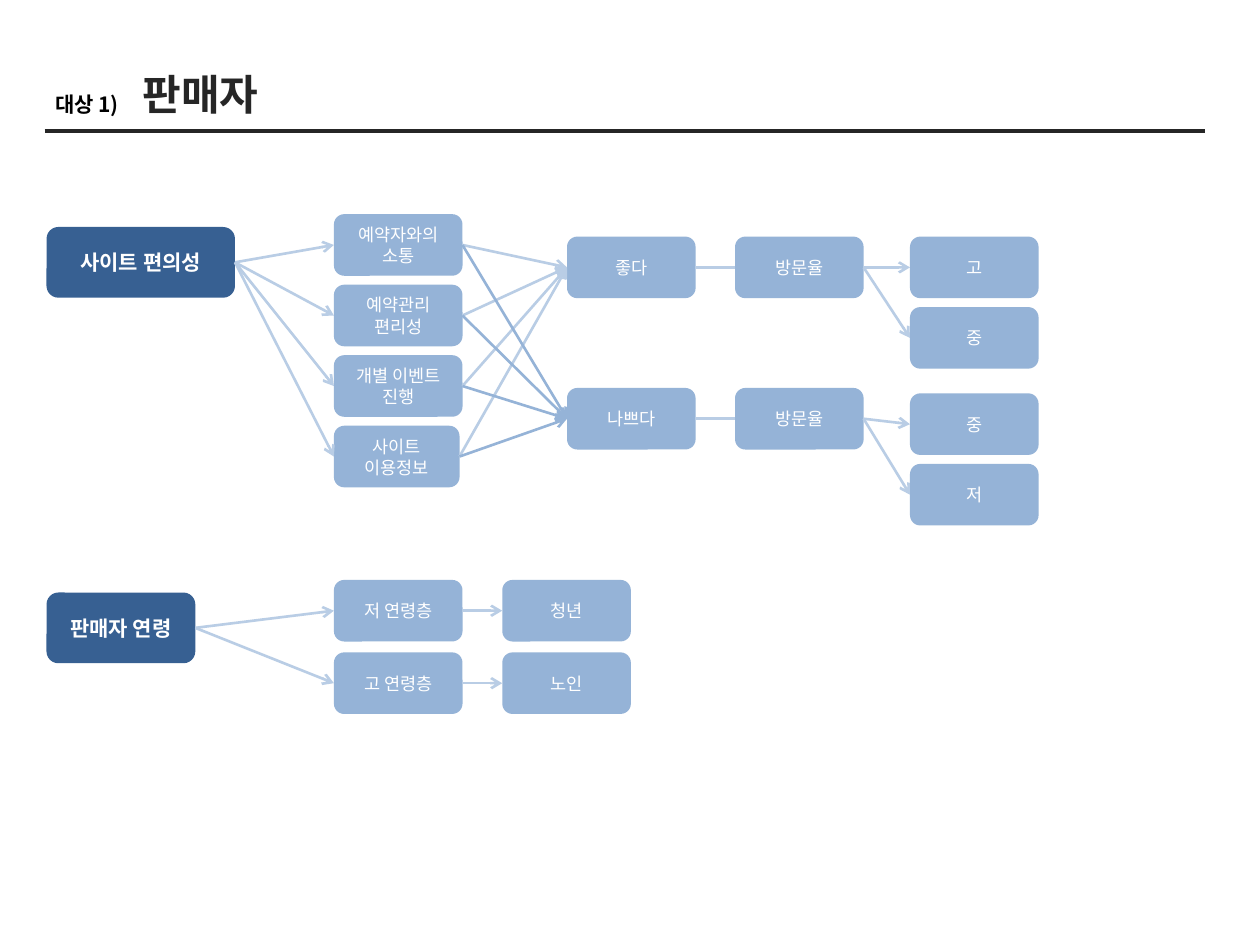
from lxml.etree import SubElement
from pptx import Presentation
from pptx.dml.color import RGBColor
from pptx.enum.shapes import MSO_CONNECTOR, MSO_SHAPE
from pptx.enum.text import MSO_ANCHOR, MSO_AUTO_SIZE, PP_ALIGN
from pptx.oxml.ns import qn
from pptx.util import Pt

NAVY, BLUE, PALE = "376092", "95B3D7", "B9CDE5"
DARK, WHITE, BLACK = "262626", "FFFFFF", "000000"
KOREAN = "Noto Sans CJK KR"
WIDE, HIGH = 73.5, 35.2  # node size
ROOT = 40.4  # height of a root node
COLS = [190.8, 324, 420, 520]  # left edges of the node columns


def color(code):
    return RGBColor.from_string(code)


def style(frame, size, code, bold=False, name=KOREAN):
    for para in frame.paragraphs:
        for run in para.runs:
            font = run.font
            font.size, font.bold, font.name = Pt(size), bold, name
            font.color.rgb = color(code)
            if name == KOREAN:
                SubElement(run._r.get_or_add_rPr(), qn("a:ea"), typeface=name)


def label(frame, text, size, code, name):
    frame.text = text
    frame.word_wrap = False
    frame.auto_size = MSO_AUTO_SIZE.SHAPE_TO_FIT_TEXT
    frame.vertical_anchor = MSO_ANCHOR.TOP
    frame.paragraphs[0].alignment = PP_ALIGN.LEFT
    style(frame, size, code, True, name)


def node(slide, text, left, top, wide=WIDE, high=HIGH, fill=BLUE, size=10, bold=False):
    box = slide.shapes.add_shape(
        MSO_SHAPE.ROUNDED_RECTANGLE, Pt(left), Pt(top), Pt(wide), Pt(high))
    box.shadow.inherit = False
    box.fill.solid()
    box.fill.fore_color.rgb = color(fill)
    box.line.fill.background()
    frame = box.text_frame
    frame.text = text
    frame.word_wrap = True
    frame.vertical_anchor = MSO_ANCHOR.MIDDLE
    for para in frame.paragraphs:
        para.alignment = PP_ALIGN.CENTER
    style(frame, size, WHITE, bold)
    return box


def root(slide, text, top, wide):
    return node(slide, text, 26.6, top, wide, ROOT, NAVY, 12, True)


def line(slide, x1, y1, x2, y2, code, width):
    rule = slide.shapes.add_connector(
        MSO_CONNECTOR.STRAIGHT, Pt(x1), Pt(y1), Pt(x2), Pt(y2))
    rule.line.color.rgb = color(code)
    rule.line.width = Pt(width)
    SubElement(rule._element.spPr, qn("a:effectLst"))
    return rule


def link(slide, start, end, code=PALE, arrow=True):
    # From the right side of one node to the left side of another
    rule = line(slide, 0, 0, 0, 0, code, 1.5)
    rule.begin_connect(start, 3)
    rule.end_connect(end, 1)
    if arrow:
        SubElement(rule.line._get_or_add_ln(), qn("a:tailEnd"), type="arrow")


def header(slide):
    line(slide, 25.5, 74.9, 688.8, 74.9, DARK, 2.25)
    box = slide.shapes.add_textbox(Pt(24.5), Pt(48.8), Pt(54.7), Pt(21.8))
    label(box.text_frame, "대상 1)", 12, BLACK, KOREAN)
    title = slide.shapes.title
    title.left, title.top, title.width, title.height = Pt(74.2), Pt(35.3), Pt(87), Pt(36)
    label(title.text_frame, "판매자", 24, DARK, "Arial")


def site(slide):
    # Site convenience: factors, verdicts, visit rates and levels
    start = root(slide, "사이트 편의성", 129.7, 107.7)
    names = ["예약자와의 소통", "예약관리\n편리성", "개별 이벤트 진행", "사이트\n이용정보"]
    facts = [node(slide, name, COLS[0], 122.4 + 40.3 * i, 71.8 if i == 3 else WIDE)
             for i, name in enumerate(names)]
    for fact in facts:
        link(slide, start, fact)

    tracks = [("좋다", 135.2, PALE, [("고", 135.2), ("중", 175.5)]),
              ("나쁘다", 221.7, BLUE, [("중", 224.8), ("저", 265.1)])]
    for name, top, code, levels in tracks:
        mood = node(slide, name, COLS[1], top)
        rate = node(slide, "방문율", COLS[2], top)
        link(slide, mood, rate, arrow=False)
        for fact in facts:
            link(slide, fact, mood, code)
        for text, y in levels:
            link(slide, rate, node(slide, text, COLS[3], y))


def age(slide):
    # Seller age: two bands and their groups
    start = root(slide, "판매자 연령", 338.6, 85)
    rows = [("저 연령층", "청년"), ("고 연령층", "노인")]
    for i, (band, group) in enumerate(rows):
        top = 331.4 + 41.4 * i
        first = node(slide, band, COLS[0], top)
        link(slide, start, first)
        link(slide, first, node(slide, group, 287, top))


def main():
    deck = Presentation()
    deck.slide_width, deck.slide_height = Pt(720), Pt(540)
    slide = deck.slides.add_slide(deck.slide_layouts[5])
    age(slide)
    header(slide)
    site(slide)
    deck.save("out.pptx")


if __name__ == "__main__":
    main()
